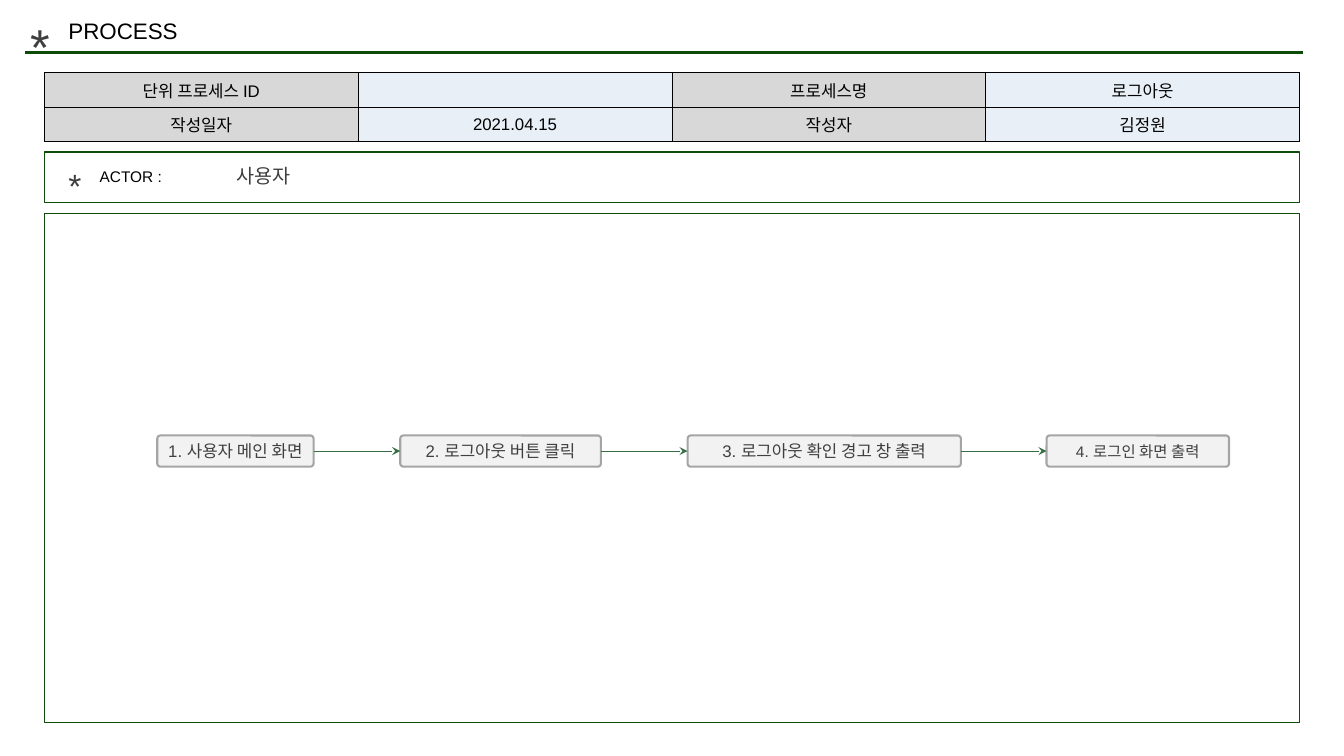
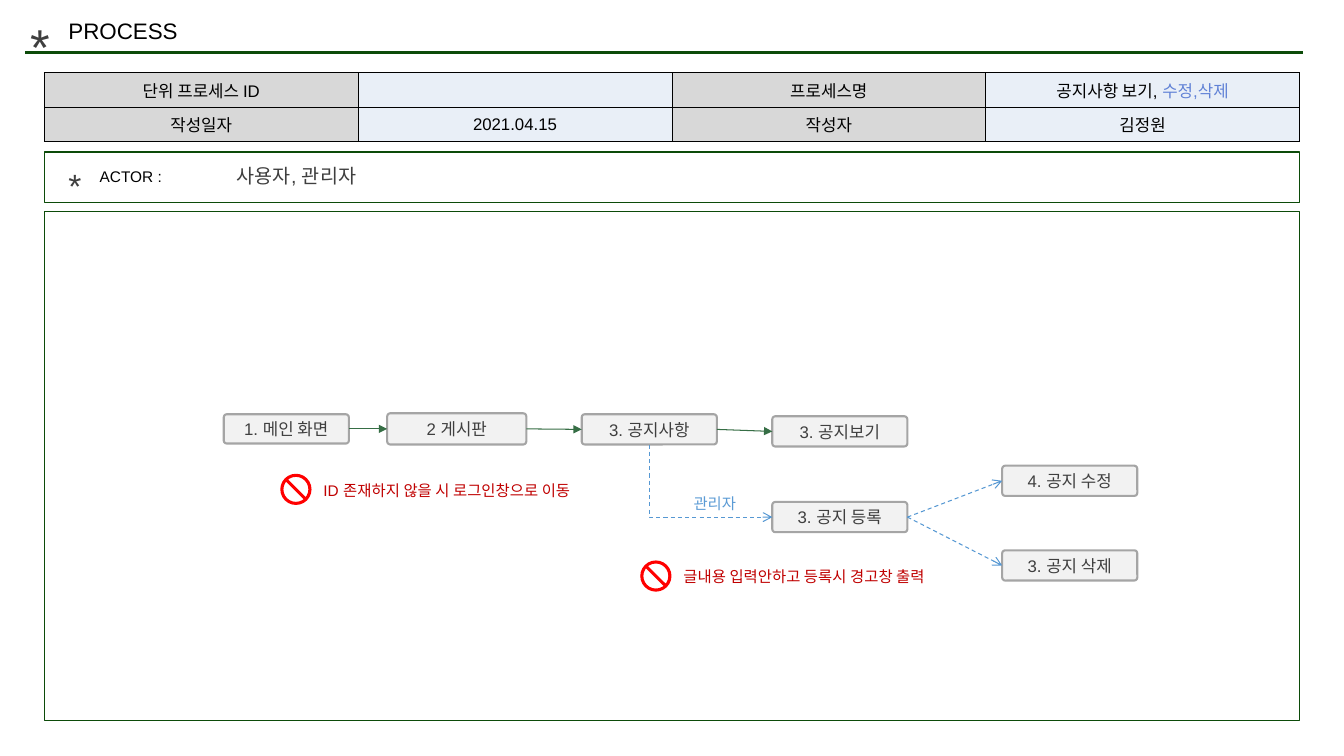
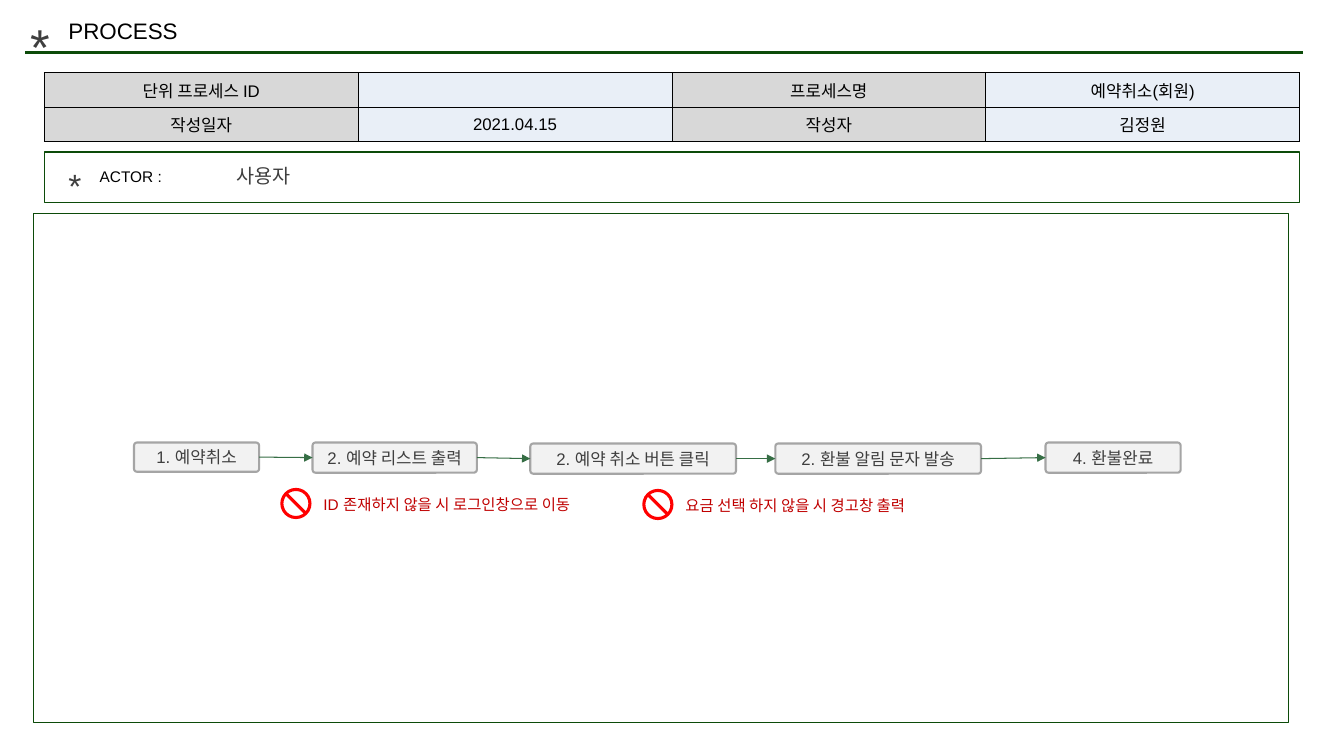
"""Build three process-flow slides that share a header, an information table and an actor bar."""
from dataclasses import dataclass

from lxml.etree import SubElement
from pptx import Presentation
from pptx.dml.color import RGBColor
from pptx.enum.dml import MSO_LINE
from pptx.enum.shapes import MSO_CONNECTOR, MSO_SHAPE
from pptx.enum.text import MSO_ANCHOR, PP_ALIGN
from pptx.oxml.ns import qn
from pptx.util import Inches, Pt


@dataclass(frozen=True)
class Theme:
    font: str = "Arial"
    black: RGBColor = RGBColor(0x00, 0x00, 0x00)
    text: RGBColor = RGBColor(0x3F, 0x3F, 0x3F)
    frame: RGBColor = RGBColor(0x0C, 0x4B, 0x09)
    arrow: RGBColor = RGBColor(0x36, 0x6E, 0x45)
    admin_arrow: RGBColor = RGBColor(0x56, 0x98, 0xD3)
    admin_text: RGBColor = RGBColor(0x5B, 0x9B, 0xD5)
    admin_name: RGBColor = RGBColor(0x61, 0x82, 0xD6)
    step_fill: RGBColor = RGBColor(0xF2, 0xF2, 0xF2)
    step_line: RGBColor = RGBColor(0xA5, 0xA5, 0xA5)
    header_fill: RGBColor = RGBColor(0xD8, 0xD8, 0xD8)
    value_fill: RGBColor = RGBColor(0xE9, 0xEF, 0xF7)
    sign: RGBColor = RGBColor(0xFF, 0x00, 0x00)
    warning: RGBColor = RGBColor(0xC0, 0x00, 0x00)
    star: int = 36
    small_star: int = 24
    title: int = 16
    actor: int = 14
    body: int = 12
    small: int = 11


theme = Theme()

processes = [
    {
        "name": [("로그아웃", theme.black)],
        "actor": "사용자",
        "frame": (0.44, 2.12),
        "steps": [
            (1.56, 4.32, 1.55, 0.31, "1. 사용자 메인 화면", theme.body),
            (3.97, 4.32, 1.99, 0.31, "2. 로그아웃 버튼 클릭", theme.body),
            (6.82, 4.32, 2.71, 0.31, "3. 로그아웃 확인 경고 창 출력", theme.body),
            (10.38, 4.32, 1.81, 0.31, "4. 로그인 화면 출력", theme.small),
        ],
        "arrows": [(0, 1), (1, 2), (2, 3)],
        "arrowhead": "stealth",
        "admin_arrows": [],
        "warnings": [],
        "labels": [],
    },
    {
        "name": [("공지사항 보기, ", theme.black), ("수정,삭제", theme.admin_name)],
        "actor": "사용자, 관리자",
        "frame": (0.44, 2.1),
        "steps": [
            (2.22, 4.11, 1.24, 0.29, "1. 메인 화면", theme.body),
            (3.84, 4.1, 1.38, 0.31, "2 게시판", theme.body),
            (5.77, 4.11, 1.34, 0.3, "3. 공지사항", theme.body),
            (7.66, 4.13, 1.34, 0.3, "3. 공지보기", theme.body),
            (7.66, 4.98, 1.34, 0.3, "3. 공지 등록", theme.body),
            (9.94, 4.62, 1.34, 0.3, "4. 공지 수정", theme.body),
            (9.94, 5.46, 1.34, 0.3, "3. 공지 삭제", theme.body),
        ],
        "arrows": [(0, 1), (1, 2), (2, 3)],
        "arrowhead": "triangle",
        "admin_arrows": [(2, 4, True), (4, 5, False), (4, 6, False)],
        "warnings": [
            (2.78, 4.7, "ID 존재하지 않을 시 로그인창으로 이동"),
            (6.35, 5.56, "글내용 입력안하고 등록시 경고창 출력"),
        ],
        "labels": [(6.78, 4.85, 2.61, 0.29, "관리자", theme.small, theme.admin_text)],
    },
    {
        "name": [("예약취소(회원)", theme.black)],
        "actor": "사용자",
        "frame": (0.33, 2.12),
        "steps": [
            (1.33, 4.39, 1.24, 0.29, "1. 예약취소", theme.body),
            (3.1, 4.39, 1.63, 0.3, "2. 예약 리스트 출력", theme.body),
            (5.26, 4.4, 2.04, 0.3, "2. 예약 취소 버튼 클릭", theme.body),
            (7.69, 4.4, 2.04, 0.3, "2. 환불 알림 문자 발송", theme.body),
            (10.37, 4.39, 1.34, 0.3, "4. 환불완료", theme.body),
        ],
        "arrows": [(0, 1), (1, 2), (2, 3), (3, 4)],
        "arrowhead": "triangle",
        "admin_arrows": [],
        "warnings": [
            (2.78, 4.84, "ID 존재하지 않을 시 로그인창으로 이동"),
            (6.37, 4.85, "요금 선택 하지 않을 시 경고창 출력"),
        ],
        "labels": [],
    },
]


def style_paragraph(paragraph, size, color, alignment=PP_ALIGN.LEFT):
    paragraph.alignment = alignment
    paragraph.font.name = theme.font
    paragraph.font.size = Pt(size)
    paragraph.font.color.rgb = color


def add_line(slide, kind, ends, color, width, arrowhead="none"):
    line = slide.shapes.add_connector(kind, *map(Inches, ends))
    line.line.color.rgb = color
    line.line.width = Pt(width)
    properties = line.element.spPr
    if arrowhead != "none":
        SubElement(properties.find(qn("a:ln")), qn("a:tailEnd"), type=arrowhead)
    SubElement(properties, qn("a:effectLst"))
    return line


presentation = Presentation()
presentation.slide_width = Inches(13.33)
presentation.slide_height = Inches(7.5)

for process in processes:
    slide = presentation.slides.add_slide(presentation.slide_layouts[6])
    add_line(slide, MSO_CONNECTOR.STRAIGHT, (0.25, 0.52, 12.92, 0.52), theme.frame, 2.25)

    table = slide.shapes.add_table(2, 4, Inches(0.44), Inches(0.72), Inches(12.45), Inches(0.6)).table
    rows = [
        [[("단위 프로세스 ID", theme.black)], [], [("프로세스명", theme.black)], process["name"]],
        [[(text, theme.black)] for text in ("작성일자", "2021.04.15", "작성자", "김정원")],
    ]
    for row_index, row in enumerate(rows):
        for column_index, parts in enumerate(row):
            cell = table.cell(row_index, column_index)
            cell.vertical_anchor = MSO_ANCHOR.MIDDLE
            paragraph = cell.text_frame.paragraphs[0]
            style_paragraph(paragraph, theme.body, theme.black, PP_ALIGN.CENTER)
            for text, color in parts:
                run = paragraph.add_run()
                run.text = text
                if color != theme.black:
                    run.font.color.rgb = color
            cell_properties = cell._tc.get_or_add_tcPr()
            for side in ("a:lnL", "a:lnR", "a:lnT", "a:lnB"):
                border = SubElement(cell_properties, qn(side), w=str(Pt(0.75)))
                border_fill = SubElement(border, qn("a:solidFill"))
                SubElement(border_fill, qn("a:srgbClr"), val=str(theme.black))
            cell.fill.solid()
            cell.fill.fore_color.rgb = theme.value_fill if column_index % 2 else theme.header_fill

    for left, top, height in [(0.44, 1.51, 0.5), (*process["frame"], 5.05)]:
        frame = slide.shapes.add_shape(
            MSO_SHAPE.RECTANGLE, Inches(left), Inches(top), Inches(12.45), Inches(height))
        frame.shadow.inherit = False
        frame.fill.background()
        frame.line.color.rgb = theme.frame
        frame.line.width = Pt(1)

    steps = []
    for left, top, width, height, text, size in process["steps"]:
        step = slide.shapes.add_shape(
            MSO_SHAPE.ROUNDED_RECTANGLE, Inches(left), Inches(top), Inches(width), Inches(height))
        step.adjustments[0] = 0.1
        step.shadow.inherit = False
        step.fill.solid()
        step.fill.fore_color.rgb = theme.step_fill
        step.line.color.rgb = theme.step_line
        step.line.width = Pt(1.5)
        text_frame = step.text_frame
        text_frame.word_wrap = True
        text_frame.vertical_anchor = MSO_ANCHOR.MIDDLE
        text_frame.margin_left = text_frame.margin_right = Inches(0.04)
        text_frame.margin_top = text_frame.margin_bottom = Inches(0.04)
        text_frame.text = text
        style_paragraph(text_frame.paragraphs[0], size, theme.text, PP_ALIGN.CENTER)
        steps.append(step)

    for source, target in process["arrows"]:
        arrow = add_line(
            slide, MSO_CONNECTOR.STRAIGHT, (0, 0, 0, 0), theme.arrow, 0.75, process["arrowhead"])
        arrow.begin_connect(steps[source], 3)
        arrow.end_connect(steps[target], 1)

    for source, target, bent in process["admin_arrows"]:
        kind = MSO_CONNECTOR.ELBOW if bent else MSO_CONNECTOR.STRAIGHT
        arrow = add_line(slide, kind, (0, 0, 0, 0), theme.admin_arrow, 0.75, "arrow")
        arrow.line.dash_style = MSO_LINE.DASH
        arrow.begin_connect(steps[source], 2 if bent else 3)
        arrow.end_connect(steps[target], 1)
        if bent:
            across, down = arrow.width, arrow.height
            arrow.left += (across - down) // 2
            arrow.top += (down - across) // 2
            arrow.width, arrow.height = down, across
            properties = arrow.element.spPr
            properties.find(qn("a:prstGeom")).set("prst", "bentConnector2")
            transform = properties.find(qn("a:xfrm"))
            transform.set("rot", str(270 * 60000))
            transform.set("flipH", "1")

    labels = [
        (0.2, 0.1, 0.52, 0.71, "*", theme.star, theme.text),
        (0.58, 0.12, 4.32, 0.37, "PROCESS", theme.title, theme.black),
        (0.58, 1.59, 0.52, 0.49, "*", theme.small_star, theme.text),
        (0.89, 1.61, 1.33, 0.29, "ACTOR :", theme.small, theme.black),
        (2.25, 1.58, 4.32, 0.32, process["actor"], theme.actor, theme.text),
        *process["labels"],
    ]
    for left, top, text in process["warnings"]:
        sign = slide.shapes.add_shape(
            MSO_SHAPE.NO_SYMBOL, Inches(left), Inches(top), Inches(0.31), Inches(0.31))
        sign.adjustments[0] = 0.1
        sign.shadow.inherit = False
        sign.fill.solid()
        sign.fill.fore_color.rgb = theme.sign
        sign.line.fill.background()
        labels.append((left + 0.33, top + 0.02, 2.95, 0.29, text, theme.small, theme.warning))

    for left, top, width, height, text, size, color in labels:
        label = slide.shapes.add_textbox(Inches(left), Inches(top), Inches(width), Inches(height))
        label.text_frame.word_wrap = True
        label.text_frame.text = text
        style_paragraph(label.text_frame.paragraphs[0], size, color)

presentation.save("out.pptx")
